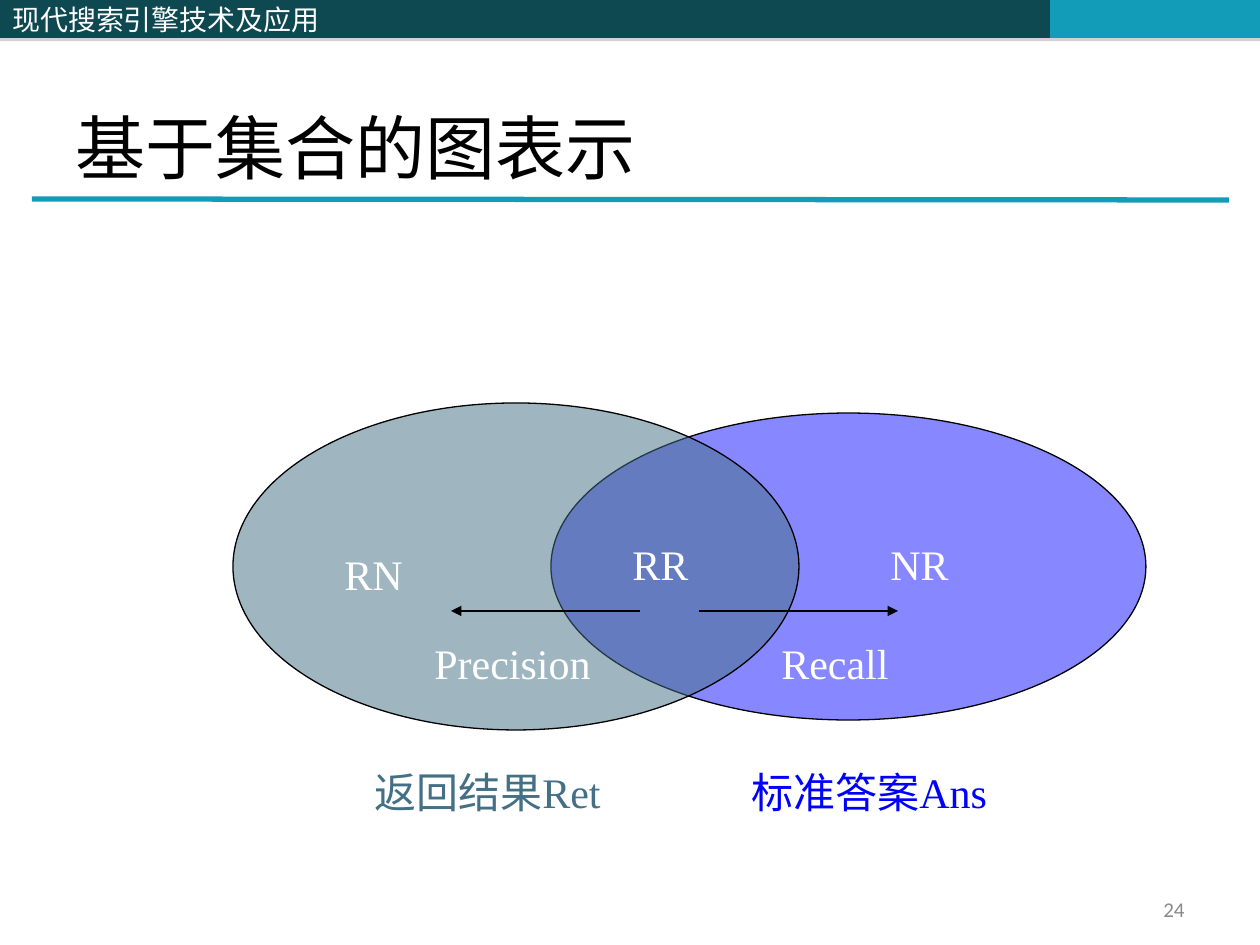
import lxml.etree
import pptx
import pptx.dml.color
import pptx.enum.shapes
import pptx.enum.text
import pptx.oxml
import pptx.oxml.ns
import pptx.util

RGBColor = pptx.dml.color.RGBColor
WHITE = RGBColor(0xFF, 0xFF, 0xFF)
BLACK = RGBColor(0x00, 0x00, 0x00)
GREY = RGBColor(0x89, 0x89, 0x89)
DARK_TEAL = RGBColor(0x0E, 0x48, 0x51)
TEAL = RGBColor(0x13, 0x9C, 0xB7)
SLATE = RGBColor(0x43, 0x70, 0x85)
BLUE = RGBColor(0x00, 0x00, 0xFF)
SERIF = "Times New Roman"
CHINESE = "Noto Sans CJK SC"
SHAPES = pptx.enum.shapes.MSO_SHAPE
ALIGN = pptx.enum.text.PP_ALIGN
ANCHOR = pptx.enum.text.MSO_ANCHOR
qn = pptx.oxml.ns.qn
PX = pptx.util.Inches(1) / 126


def place(*lengths):
    return [pptx.util.Emu(round(length * PX)) for length in lengths]


def write(box, text, size=24, font=SERIF, color=WHITE, align=ALIGN.LEFT, anchor=ANCHOR.TOP):
    frame = box.text_frame
    frame.word_wrap = True
    frame.auto_size = pptx.enum.text.MSO_AUTO_SIZE.NONE
    frame.vertical_anchor = anchor
    para = frame.paragraphs[0]
    para.alignment = align
    span = para.add_run()
    span.text = text
    span.font.size = pptx.util.Pt(size)
    span.font.name = font
    span.font.color.rgb = color
    east_asian = lxml.etree.SubElement(span.font._element, qn("a:ea"))
    east_asian.set("typeface", CHINESE)


deck = pptx.Presentation()
deck.slide_width, deck.slide_height = place(1260, 945)
page = deck.slides.add_slide(deck.slide_layouts[5])
shapes = page.shapes

for left, width, color, text in [
    (514, 536, DARK_TEAL, ""),
    (1050, 210, TEAL, ""),
    (0, 514, DARK_TEAL, "现代搜索引擎技术及应用"),
]:
    bar = shapes.add_shape(SHAPES.RECTANGLE, *place(left, 0, width, 38))
    bar.fill.solid()
    bar.fill.fore_color.rgb = color
    bar.line.fill.background()
    bar.shadow.inherit = False
    bar._element.spPr.find(qn("a:effectLst")).append(pptx.oxml.parse_xml(
        '<a:outerShdw xmlns:a="http://schemas.openxmlformats.org/drawingml/2006/main" '
        'blurRad="0" dist="22860" dir="5400000" rotWithShape="0">'
        '<a:srgbClr val="808080"><a:alpha val="35000"/></a:srgbClr></a:outerShdw>'))
    if text:
        write(bar, text, size=16, font=CHINESE, anchor=ANCHOR.MIDDLE)

title = shapes.title
title.left, title.top, title.width, title.height = place(63, 38, 1134, 157)
write(title, "基于集合的图表示", size=40, color=BLACK, anchor=ANCHOR.BOTTOM)

number = shapes.add_textbox(*place(903, 892, 294, 34))
write(number, "24", size=12, font="Calibri", color=GREY, align=ALIGN.RIGHT, anchor=ANCHOR.MIDDLE)

for left, top, width, height, color, opacity in [
    (551, 413, 595, 307, BLUE, 47),
    (233, 403, 566, 327, SLATE, 51),
]:
    ellipse = shapes.add_shape(SHAPES.OVAL, *place(left, top, width, height))
    ellipse.shadow.inherit = False
    ellipse.fill.solid()
    ellipse.fill.fore_color.rgb = color
    shade = ellipse._element.spPr.find(qn("a:solidFill"))[0]
    lxml.etree.SubElement(shade, qn("a:alpha")).set("val", str(opacity * 1000))
    ellipse.line.color.rgb = BLACK
    ellipse.line.width = pptx.util.Pt(0.75)

for text, left, top, width, color in [
    ("RR", 620, 532, 129, WHITE),
    ("标准答案Ans", 739, 760, 358, BLUE),
    ("返回结果Ret", 362, 760, 358, SLATE),
    ("RN", 332, 542, 218, WHITE),
    ("NR", 878, 532, 218, WHITE),
    ("Precision", 422, 631, 258, WHITE),
    ("Recall", 769, 631, 258, WHITE),
]:
    label = shapes.add_textbox(*place(left, top, width, 63))
    write(label, text, color=color)

for start_x, start_y, end_x, end_y, color, weight, pointed in [
    (32, 199, 1229, 200, TEAL, 3, False),
    (640, 611, 451, 611, BLACK, 0.75, True),
    (699, 611, 898, 611, BLACK, 0.75, True),
]:
    line = shapes.add_connector(
        pptx.enum.shapes.MSO_CONNECTOR.STRAIGHT, *place(start_x, start_y, end_x, end_y))
    line.line.color.rgb = color
    line.line.width = pptx.util.Pt(weight)
    if pointed:
        stroke = line._element.spPr.find(qn("a:ln"))
        lxml.etree.SubElement(stroke, qn("a:tailEnd")).set("type", "triangle")
    lxml.etree.SubElement(line._element.spPr, qn("a:effectLst"))

deck.save("out.pptx")
